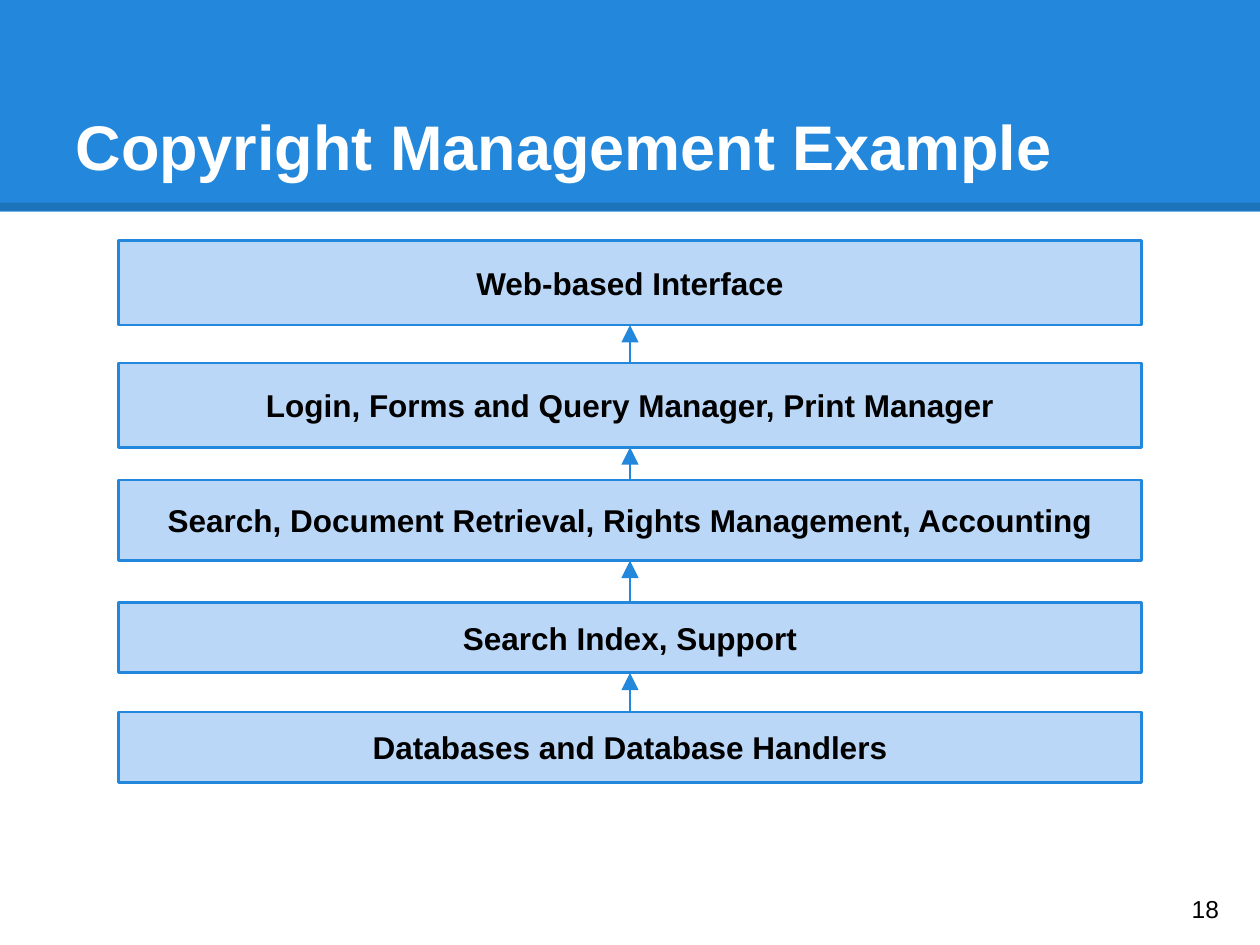
from dataclasses import dataclass
from itertools import pairwise

from lxml.etree import SubElement
from pptx import Presentation
from pptx.dml.color import RGBColor
from pptx.enum.shapes import MSO_CONNECTOR as Connector, MSO_SHAPE as Preset
from pptx.enum.text import MSO_ANCHOR as Anchor, PP_ALIGN as Align
from pptx.oxml.ns import qn
from pptx.util import Inches, Pt

WIDTH, HEIGHT = 10, 7.5
BLUE, PALE, WHITE, BLACK = "2388DB", "BBD7F8", "FFFFFF", "000000"
LAYER_WIDTH = 8.12
LAYER_LEFT = (WIDTH - LAYER_WIDTH) / 2


@dataclass
class Layer:
    label: str
    top: float
    height: float

    @property
    def bottom(self) -> float:
        return self.top + self.height


@dataclass
class TextStyle:
    size: float
    color: str = BLACK
    bold: bool = True
    align: Align = Align.LEFT
    anchor: Anchor = Anchor.MIDDLE


LAYERS = [
    Layer("Web-based Interface", 1.91, 0.67),
    Layer("Login, Forms and Query Manager, Print Manager", 2.88, 0.67),
    Layer("Search, Document Retrieval, Rights Management, Accounting", 3.81, 0.64),
    Layer("Search Index, Support", 4.78, 0.56),
    Layer("Databases and Database Handlers", 5.65, 0.56),
]
TITLE_STYLE = TextStyle(36, WHITE, anchor=Anchor.BOTTOM)
LAYER_STYLE = TextStyle(18, align=Align.CENTER)
NUMBER_STYLE = TextStyle(14, bold=False)


def rgb(color: str) -> RGBColor:
    return RGBColor.from_string(color)


def write(shape, text: str, style: TextStyle) -> None:
    frame = shape.text_frame
    frame.text = text
    frame.word_wrap = True
    frame.vertical_anchor = style.anchor
    frame.margin_left = frame.margin_right = Inches(0.1)
    frame.margin_top = frame.margin_bottom = Inches(0.1)
    para = frame.paragraphs[0]
    para.alignment = style.align
    font = para.runs[0].font
    font.name, font.size, font.bold = "Arial", Pt(style.size), style.bold
    font.color.rgb = rgb(style.color)


def add_box(page, left: float, top: float, width: float, height: float,
            fill: str, outline: str | None = None):
    box = page.shapes.add_shape(Preset.RECTANGLE, *map(Inches, (left, top, width, height)))
    box.shadow.inherit = False
    box.fill.solid()
    box.fill.fore_color.rgb = rgb(fill)
    if outline:
        box.line.color.rgb = rgb(outline)
        box.line.width = Pt(1.5)
    else:
        box.line.fill.background()
    return box


def add_line(page, start: tuple[float, float], end: tuple[float, float],
             color: str, weight: float):
    line = page.shapes.add_connector(Connector.STRAIGHT, *map(Inches, (*start, *end)))
    line.line.color.rgb = rgb(color)
    line.line.width = Pt(weight)
    SubElement(line._element.spPr, qn("a:effectLst"))
    return line


def add_arrowhead(line) -> None:
    SubElement(line.line._get_or_add_ln(), qn("a:tailEnd"), type="triangle", w="lg", len="lg")


def set_opacity(line, percent: int) -> None:
    color = line.line._get_or_add_ln().find(".//" + qn("a:srgbClr"))
    SubElement(color, qn("a:alpha"), val=str(percent * 1000))


def add_text(page, left: float, top: float, width: float, height: float,
             text: str, style: TextStyle) -> None:
    box = page.shapes.add_textbox(*map(Inches, (left, top, width, height)))
    write(box, text, style)


def add_header(page) -> None:
    add_box(page, 0, 0, WIDTH, 1.68, BLUE)
    rule = add_line(page, (0, 1.64), (WIDTH, 1.64), BLACK, 4.5)
    set_opacity(rule, 15)
    title = page.shapes.title
    title.left, title.top, title.width, title.height = map(Inches, (0.5, 0.3, 9, 1.25))
    write(title, "Copyright Management Example", TITLE_STYLE)


def add_layers(page) -> None:
    for layer in LAYERS:
        box = add_box(page, LAYER_LEFT, layer.top, LAYER_WIDTH, layer.height, PALE, BLUE)
        write(box, layer.label, LAYER_STYLE)
    for upper, lower in pairwise(LAYERS):
        arrow = add_line(page, (WIDTH / 2, lower.top), (WIDTH / 2, upper.bottom), BLUE, 1.5)
        add_arrowhead(arrow)


def main() -> None:
    deck = Presentation()
    deck.slide_width, deck.slide_height = Inches(WIDTH), Inches(HEIGHT)
    title_only = deck.slide_layouts[5]
    page = deck.slides.add_slide(title_only)
    add_header(page)
    # The title placeholder is created first, so bring it in front of the band.
    page.shapes._spTree.append(page.shapes.title._element)
    add_layers(page)
    add_text(page, 9.36, 6.93, 0.6, 0.57, "18", NUMBER_STYLE)
    deck.save("out.pptx")


if __name__ == "__main__":
    main()
